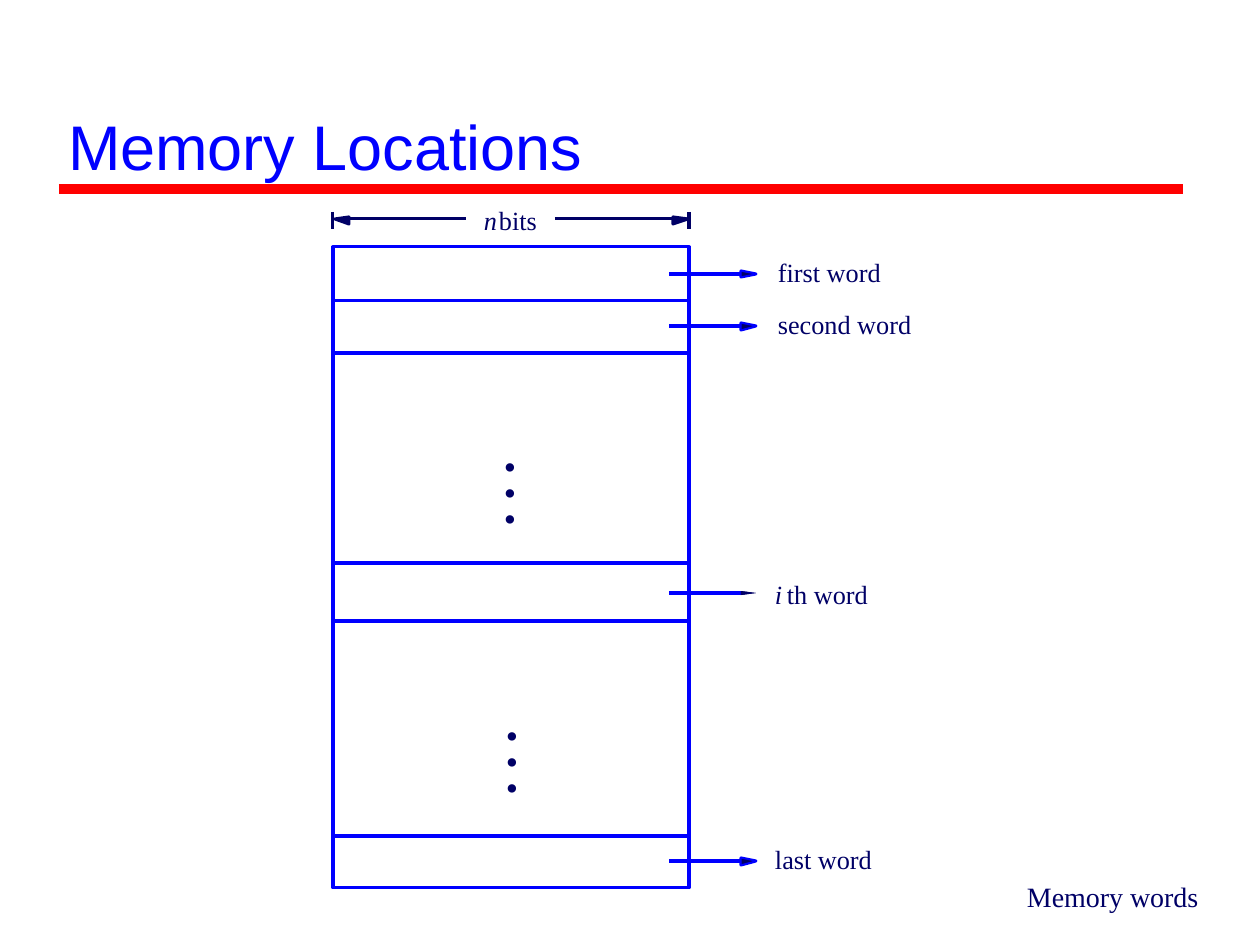
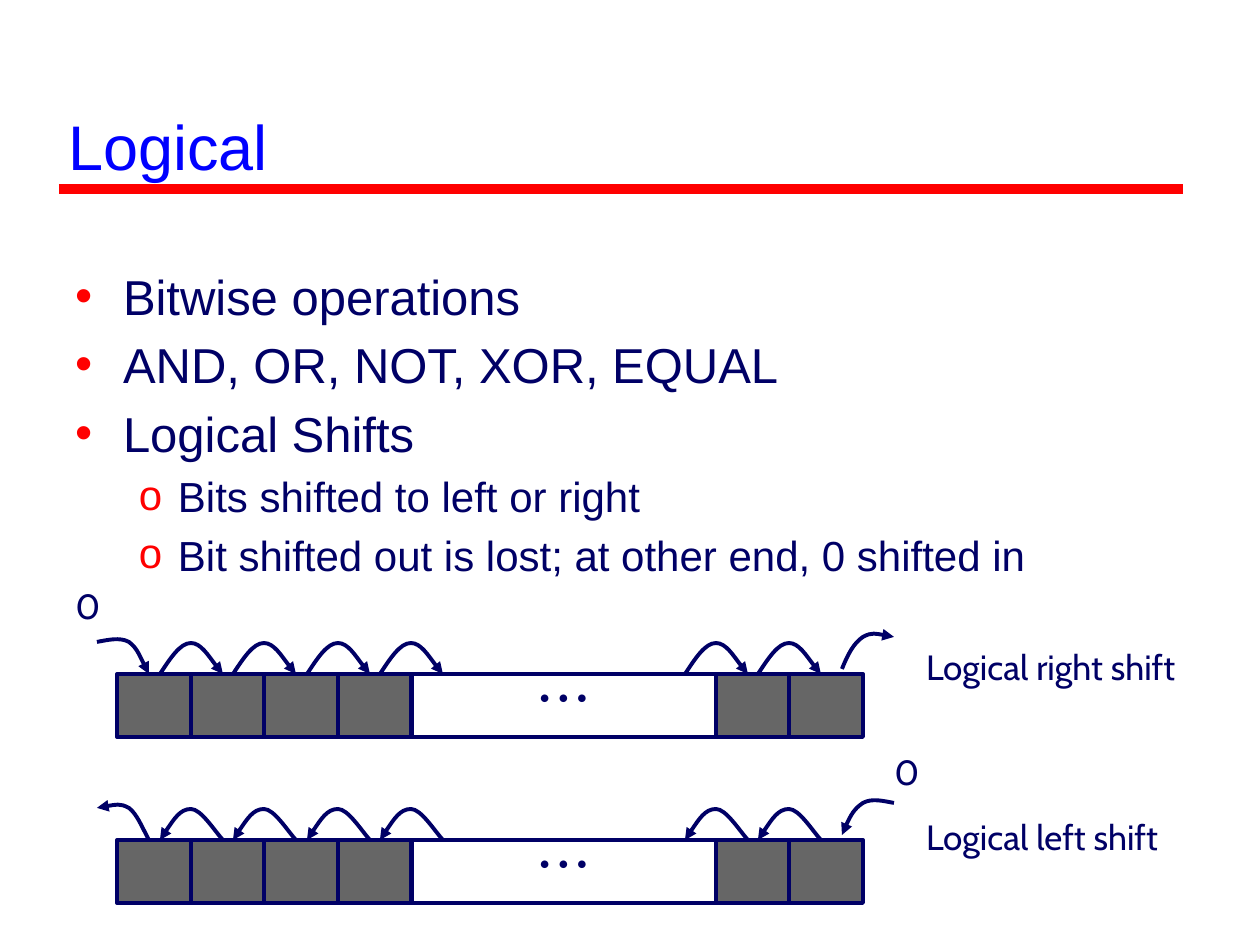
"""Build two slides: the layout of memory words and the logical shift operations."""
from dataclasses import dataclass

from lxml.etree import SubElement
from pptx import Presentation
from pptx.dml.color import RGBColor
from pptx.enum.shapes import MSO_CONNECTOR, MSO_SHAPE
from pptx.enum.text import MSO_ANCHOR as ANCHOR, PP_ALIGN as ALIGN
from pptx.oxml.ns import qn
from pptx.util import Pt


@dataclass(frozen=True)
class Theme:
    blue: RGBColor = RGBColor(0x00, 0x00, 0xFF)
    navy: RGBColor = RGBColor(0x00, 0x00, 0x66)
    red: RGBColor = RGBColor(0xFF, 0x00, 0x00)
    gray: RGBColor = RGBColor(0x66, 0x66, 0x66)
    sans: str = "Arial"
    serif: str = "Times New Roman"
    figure: str = "Cabin"
    title: int = 36
    body: tuple = (28, 24)
    dots: int = 20
    caption: int = 16
    word: int = 15
    rule: float = 6
    thin: float = 1.75
    thick: float = 2.25


T = Theme()
PX = 914400 / 126


def add_text(s, box, lines, font, size, color=T.navy, anchor=ANCHOR.TOP, align=ALIGN.LEFT, italic=None):
    """Add a text box without margins, one paragraph per line."""
    tf = s.shapes.add_textbox(*[round(v * PX) for v in box]).text_frame
    tf.margin_left = tf.margin_right = tf.margin_top = tf.margin_bottom = 0
    tf.word_wrap = box[2] > 400
    tf.vertical_anchor = anchor
    for i, line in enumerate(lines):
        p = tf.paragraphs[0] if i == 0 else tf.add_paragraph()
        p.text, p.alignment = line, align
        p.font.name, p.font.size, p.font.color.rgb = font, Pt(size), color
        p.font.italic = italic
    return tf


def add_stroke(s, points, color, width, arrow=False):
    """Join two points by a connector, or draw a chain of cubic curves."""
    pts = [(round(x * PX), round(y * PX)) for x, y in points]
    if len(pts) == 2:
        sp = s.shapes.add_connector(MSO_CONNECTOR.STRAIGHT, *pts[0], *pts[1])
    else:
        builder = s.shapes.build_freeform(*pts[0])
        builder.add_line_segments(pts[1:], close=False)
        sp = builder.convert_to_shape()
        sp.fill.background()
        segments = list(sp._element.iter(qn("a:lnTo")))
        outline = segments[0].getparent()
        for i in range(0, len(segments), 3):
            curve = SubElement(outline, qn("a:cubicBezTo"))
            for segment in segments[i:i + 3]:
                curve.append(segment[0])
                outline.remove(segment)
    sp.line.color.rgb, sp.line.width = color, Pt(width)
    sp_pr = sp._element.spPr
    if arrow:
        SubElement(sp_pr.find(qn("a:ln")), qn("a:tailEnd"), type="triangle")
    SubElement(sp_pr, qn("a:effectLst"))


prs = Presentation()
prs.slide_width, prs.slide_height = round(1260 * PX), round(945 * PX)
slides = []
for title in ("Memory Locations", "Logical"):
    s = prs.slides.add_slide(prs.slide_layouts[6])
    add_stroke(s, [(59, 189), (1183, 189)], T.red, T.rule)
    add_text(s, (68, 32, 1105, 151), [title], T.sans, T.title, T.blue, ANCHOR.BOTTOM)
    slides.append(s)
memory, logical = slides

left, right, top, bottom = 333, 689, 247, 888
sp = memory.shapes.add_shape(
    MSO_SHAPE.RECTANGLE, *[round(v * PX) for v in (left, top, right - left, bottom - top)])
sp.shadow.inherit = False
sp.fill.background()
sp.line.color.rgb, sp.line.width = T.blue, Pt(T.thin)
for y in (301, 353, 563, 621, 836):
    add_stroke(memory, [(left, y), (right, y)], T.blue, T.thin)

for inner, outer, edge in ((466, 346, left), (555, 680, right)):
    add_stroke(memory, [(inner, 219), (outer, 219)], T.navy, T.thin)
    add_stroke(memory, [(edge, 212), (edge, 229)], T.navy, T.thin)
add_text(memory, (484, 204, 15, 32), ["n"], T.serif, T.word, italic=True)
add_text(memory, (499, 204, 42, 32), ["bits"], T.serif, T.word)

words = [
    (778, 256, 107, "first word"),
    (778, 308, 149, "second word"),
    (787, 578, 86, "th word"),
    (775, 843, 106, "last word"),
]
for x, y, width, text in words:
    add_text(memory, (x, y, width, 32), [text], T.serif, T.word)
add_text(memory, (775, 578, 8, 32), ["i"], T.serif, T.word, italic=True)
for y in (274, 326, 593, 861):
    add_stroke(memory, [(741, y), (669, y)], T.blue, T.thin)

heads = [
    (349, 335, 219, 2, 5, T.navy),
    (673, 688, 219, 2, 5, T.navy),
    (741, 756, 274, 3, 3, T.blue),
    (741, 756, 326, 3, 4, T.blue),
    (741, 756, 593, 2, 2, None),
    (741, 756, 861, 3, 4, T.blue),
]
for base, tip, y, above, below, color in heads:
    corners = [(base, y + below), (tip, y), (base, y - above), (base, y), (base, y + below)]
    pts = [(round(px * PX), round(py * PX)) for px, py in corners]
    for closed, width in ((False, T.thin), (True, 0)):
        builder = memory.shapes.build_freeform(*pts[0])
        builder.add_line_segments(pts[1:], close=closed)
        sp = builder.convert_to_shape()
        sp.shadow.inherit = False
        sp.fill.solid()
        sp.fill.fore_color.rgb = T.navy
        if color:
            sp.line.color.rgb, sp.line.width = color, Pt(width)
        else:
            sp.line.fill.background()

for x, y in ((504, 460), (506, 729)):
    tf = add_text(memory, (x, y, 13, 79), ["•"] * 3, T.serif, T.dots)
    for p in tf.paragraphs:
        p.line_spacing = Pt(15)
add_text(memory, (1027, 880, 184, 34), ["Memory words"], T.serif, T.caption)

bullets = [
    (0, "Bitwise operations"),
    (0, "AND, OR, NOT, XOR, EQUAL"),
    (0, "Logical Shifts"),
    (1, "Bits shifted to left or right"),
    (1, "Bit shifted out is lost; at other end, 0 shifted in"),
]
levels = [("•", 48, -48, 5.6), ("o", 103, -39, 4.8)]
tf = add_text(logical, (75, 266, 1101, 320), [text for _, text in bullets], T.sans, T.body[0])
for i, (p, (level, _)) in enumerate(zip(tf.paragraphs, bullets)):
    mark, margin, indent, before = levels[level]
    p.level = level
    p_pr = p._p.get_or_add_pPr()
    for old in list(p_pr):
        p_pr.remove(old)
    p_pr.set("marL", str(round(margin * PX)))
    p_pr.set("indent", str(round(indent * PX)))
    SubElement(SubElement(p_pr, qn("a:buClr")), qn("a:srgbClr"), val=str(T.red))
    SubElement(p_pr, qn("a:buFont"), typeface=T.sans)
    SubElement(p_pr, qn("a:buChar"), char=mark)
    if i:
        p.space_before = Pt(before)
    p.font.name, p.font.size, p.font.color.rgb = T.sans, Pt(T.body[level]), T.navy

joints = [191, 264, 338, 411, 716, 789]
cells = [(x, 74, T.gray) for x in (117, 191, 264, 338, 716, 789)] + [(411, 305, None)]
hump = [(-31, 0), (-21, -15), (-11, -31), (0, -31), (10, -31), (23, -10), (32, 0)]
left_end = [(97, -32), (108, -34), (120, -37), (129, -32), (137, -26), (142, -13), (149, 0)]
right_end = [(842, -5), (848, -20), (854, -31), (863, -37), (872, -42), (883, -39), (894, -37)]
shifts = [
    (674, 1, (66, 584), "Logical right shift", 645),
    (840, -1, (885, 750), "Logical left shift", 815),
]
for row, step, (zero_x, zero_y), name, name_y in shifts:
    for x, width, fill in cells:
        sp = logical.shapes.add_shape(
            MSO_SHAPE.RECTANGLE, *[round(v * PX) for v in (x, row, width, 63)])
        sp.shadow.inherit = False
        sp.line.color.rgb, sp.line.width = T.navy, Pt(T.thick)
        if fill:
            sp.fill.solid()
            sp.fill.fore_color.rgb = fill
        else:
            sp.fill.background()
            sp.text_frame.vertical_anchor = ANCHOR.MIDDLE
            p = sp.text_frame.paragraphs[0]
            p.text, p.alignment, p.line_spacing = "• • •", ALIGN.CENTER, 0.2
            p.font.name, p.font.size, p.font.color.rgb = T.figure, Pt(T.dots), T.navy
    humps = [[(joint + dx, dy) for dx, dy in hump] for joint in joints]
    for curve in [left_end, *humps, right_end]:
        points = [(x, row + dy) for x, dy in curve][::step]
        add_stroke(logical, points, T.navy, T.thick, arrow=True)
    add_text(logical, (zero_x, zero_y, 44, 43), ["0"], T.figure, T.dots, align=ALIGN.CENTER)
    add_text(logical, (926, name_y, 268, 43), [name], T.figure, T.dots)

prs.save("out.pptx")
